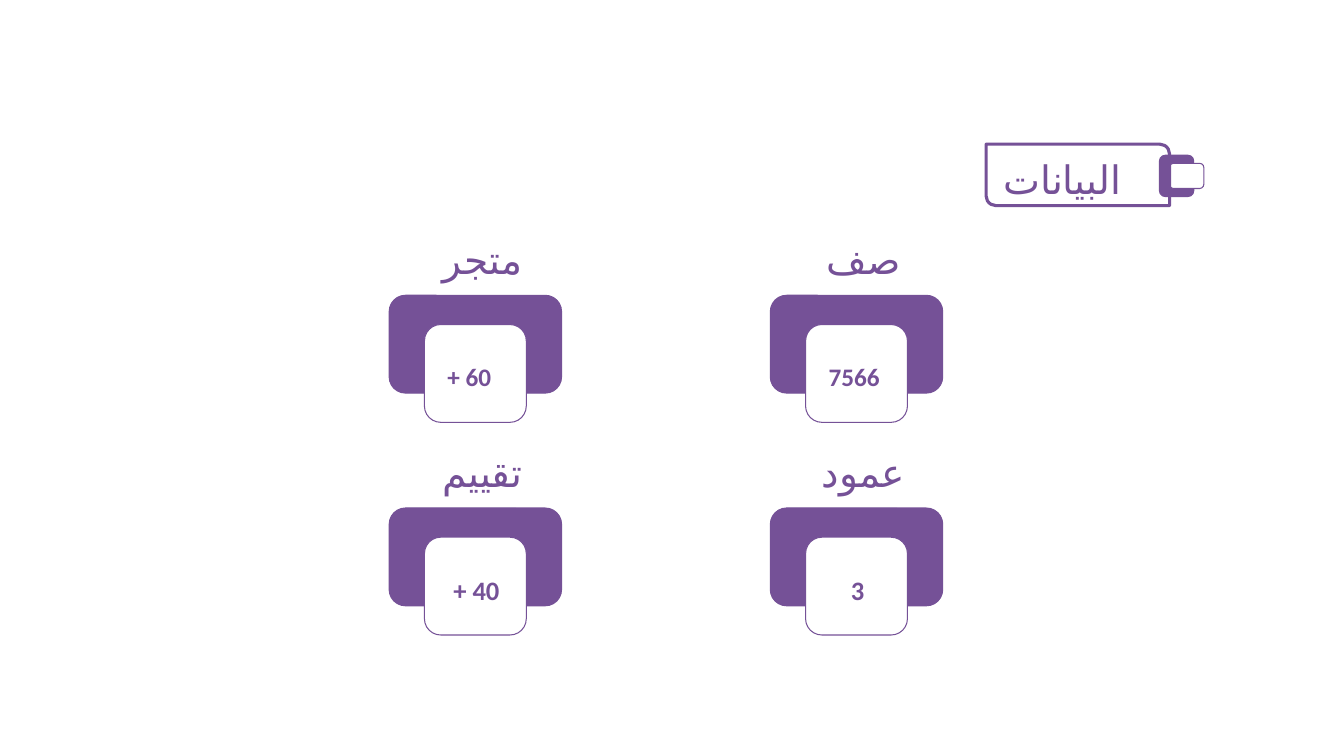
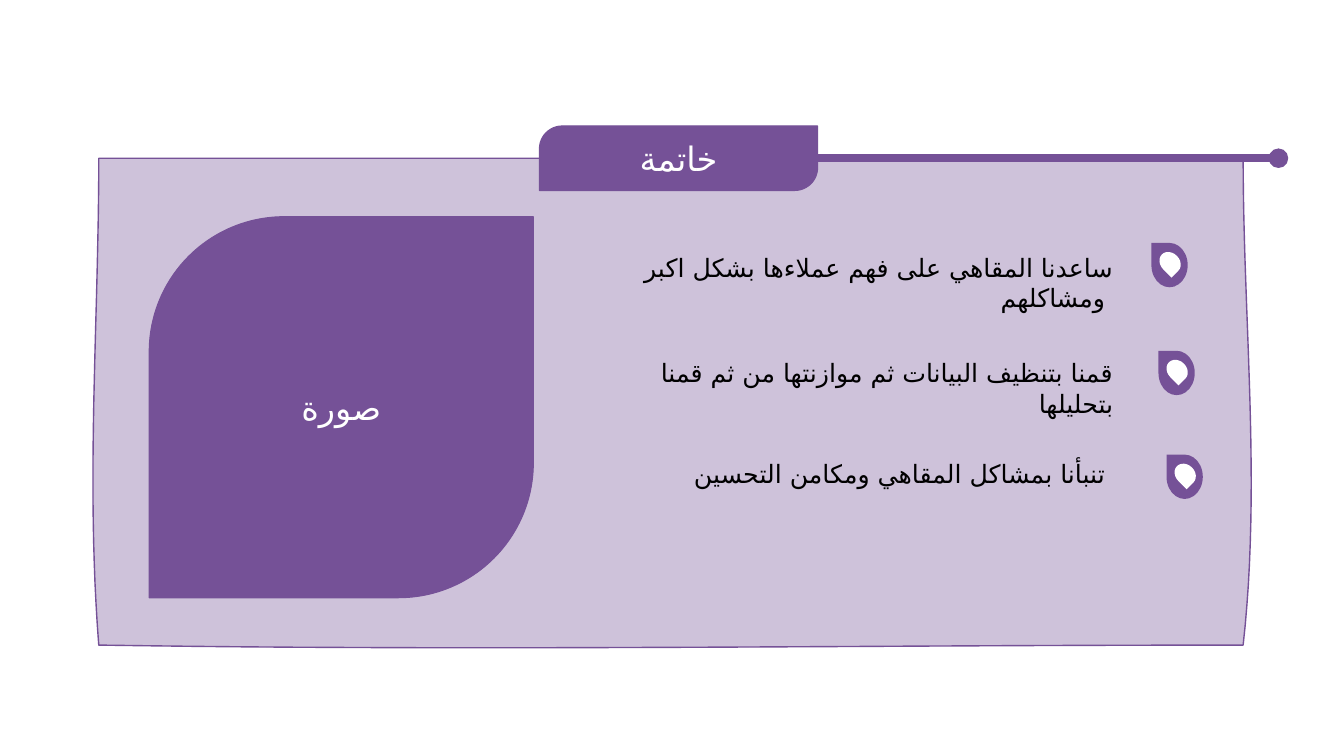
from lxml.etree import SubElement
from pptx import Presentation
from pptx.dml.color import RGBColor
from pptx.enum.shapes import MSO_CONNECTOR as CONN, MSO_SHAPE as SHAPE
from pptx.enum.text import MSO_ANCHOR as ANCHOR, MSO_AUTO_SIZE as AUTO, PP_ALIGN as ALIGN
from pptx.oxml.ns import qn
from pptx.util import Inches, Pt

COLORS = {"purple": "755197", "white": "FFFFFF", "black": "000000"}
FONT, NUMBER_FONT, ARABIC_FONT = "Roboto", "Calibri", "DejaVu Sans"
TITLE_ONLY = 5


def rgb(name):
    """Return the palette colour called name."""
    return RGBColor.from_string(COLORS[name])


def write(tf, text, size=18, color="purple", font=FONT, bold=False,
          align=ALIGN.LEFT, anchor=ANCHOR.TOP, inset=0.05):
    """Fill a text frame with one formatted paragraph."""
    tf.word_wrap = True
    tf.auto_size = AUTO.NONE
    tf.vertical_anchor = anchor
    tf.margin_left = tf.margin_right = Inches(0.1)
    tf.margin_top = tf.margin_bottom = Inches(inset)
    p = tf.paragraphs[0]
    p.alignment = align
    r = p.add_run()
    r.text = text
    r.font.size = Pt(size)
    r.font.name = font
    r.font.bold = bold
    r.font.color.rgb = rgb(color)
    SubElement(r.font._element, qn("a:cs"), typeface=ARABIC_FONT)


def add_text(s, x, y, w, h, text, **fmt):
    """Add a text box."""
    box = s.shapes.add_textbox(Inches(x), Inches(y), Inches(w), Inches(h))
    write(box.text_frame, text, **fmt)


def paint(sp, fill=None, line=None, width=0.75):
    """Set fill and outline, and drop the shadow."""
    sp.shadow.inherit = False
    if fill:
        sp.fill.solid()
        sp.fill.fore_color.rgb = rgb(fill)
    else:
        sp.fill.background()
    if line:
        sp.line.color.rgb = rgb(line)
        sp.line.width = Pt(width)
    else:
        sp.line.fill.background()


def add_shape(s, kind, x, y, w, h, fill=None, line="purple", width=0.75, adj=(), rot=0):
    """Add a painted preset shape."""
    sp = s.shapes.add_shape(kind, Inches(x), Inches(y), Inches(w), Inches(h))
    paint(sp, fill, line, width)
    for i, value in enumerate(adj):
        sp.adjustments[i] = value
    sp.rotation = rot
    return sp


def set_title(s, x, y, w, h, text, **fmt):
    """Place the title placeholder above the shapes drawn so far."""
    title = s.shapes.title
    title.left, title.top, title.width, title.height = map(Inches, (x, y, w, h))
    write(title.text_frame, text, **fmt)
    s.shapes._spTree.append(title._element)
    return title


def add_stat(s, x, y, label, number, **fmt):
    """Add a label over a purple card with a white number tile."""
    add_shape(s, SHAPE.ROUNDED_RECTANGLE, x, y, 1.71, 0.97, "purple")
    add_shape(s, SHAPE.ROUNDED_RECTANGLE, x + 0.35, y + 0.29, 1.01, 0.97, "white")
    add_text(s, x + 0.48, y + 0.55, 0.77, 0.44, number,
             font=NUMBER_FONT, bold=True, inset=0.1, **fmt)
    add_text(s, x + 0.14, y - 0.64, 1.57, 0.57, label, size=28, align=ALIGN.CENTER)


def add_leaf(s, x, y, w, h, text=None):
    """Add a purple block with two rounded corners and optional text."""
    sp = add_shape(s, SHAPE.ROUND_2_DIAG_RECTANGLE, x, y, w, h, "purple", adj=(0.354, 0))
    if text:
        write(sp.text_frame, text, size=24, color="white",
              align=ALIGN.CENTER, anchor=ANCHOR.MIDDLE)


def add_marker(s, x, y):
    """Add a teardrop bullet with a white drop inside."""
    add_shape(s, SHAPE.TEAR, x - 0.04, y + 0.04, 0.44, 0.36, "purple", line=None, rot=270)
    add_shape(s, SHAPE.TEAR, x + 0.09, y + 0.08, 0.19, 0.23, "white", line=None, rot=135)


def curve(p0, p1, p2, p3, steps=24):
    """Return points along a cubic curve, without its start."""
    points = []
    for i in range(1, steps + 1):
        t = i / steps
        u = 1 - t
        points.append(tuple(
            Inches(u**3 * a + 3 * u * u * t * b + 3 * u * t * t * c + t**3 * d)
            for a, b, c, d in zip(p0, p1, p2, p3)))
    return points


def add_panel(s):
    """Add the translucent panel with bowed sides."""
    right, left, top, bottom = 12.33, 0.98, 1.57, 6.4
    builder = s.shapes.build_freeform(Inches(right), Inches(top))
    builder.add_line_segments(
        [(Inches(left), Inches(top))]
        + curve((left, top), (left, 3.18), (0.85, 4.74), (left, bottom))
        + curve((left, bottom), (4.8, 6.46), (8.55, bottom), (right, bottom))
        + curve((right, bottom), (12.51, 4.79), (right, 3.18), (right, top)))
    sp = builder.convert_to_shape()
    paint(sp, "purple", "purple", 1)
    fill = sp._element.spPr.find(qn("a:solidFill"))
    SubElement(fill[0], qn("a:alpha"), val="35000")


def add_rule(s, start, x, y):
    """Draw a thick line from the right side of a box to a point."""
    line = s.shapes.add_connector(CONN.STRAIGHT, Inches(x), Inches(y), Inches(x), Inches(y))
    line.begin_connect(start, 3)
    line.line.color.rgb = rgb("purple")
    line.line.width = Pt(6)
    SubElement(line._element.spPr, qn("a:effectLst"))


def build_data(s):
    """Build the slide with the four figures."""
    add_shape(s, SHAPE.ROUNDED_RECTANGLE, 11.5, 1.54, 0.34, 0.41, "purple")
    add_shape(s, SHAPE.ROUNDED_RECTANGLE, 11.6, 1.62, 0.34, 0.25, "white")
    add_shape(s, SHAPE.ROUND_2_DIAG_RECTANGLE, 9.78, 1.43, 1.82, 0.61,
              width=2.25, adj=(0.011, 0.159))
    set_title(s, 9.85, 1.49, 1.57, 0.57, "البيانات", size=28)
    rows = [
        ([("صف", "7566"), ("متجر", "+ 60")], {"size": 18}),
        ([("عمود", "3"), ("تقييم", "+ 40")], {"size": 19, "align": ALIGN.CENTER}),
    ]
    for i, (stats, fmt) in enumerate(rows):
        for j, (label, number) in enumerate(stats):
            add_stat(s, 7.64 - 3.78 * j, 2.93 + 2.11 * i, label, number, **fmt)


def build_conclusion(s):
    """Build the closing slide."""
    add_panel(s)
    tab = (5.35, 1.25, 2.76, 0.64)
    add_leaf(s, *tab)
    title = set_title(s, *tab, "خاتمة", size=24, color="white",
                      align=ALIGN.CENTER, anchor=ANCHOR.MIDDLE)
    add_rule(s, title, 12.63, 1.57)
    add_shape(s, SHAPE.OVAL, 12.59, 1.48, 0.18, 0.18, "purple", width=1)
    points = [
        (11.42, 2.41, 5.64, 2.45, 0.71, "ساعدنا المقاهي على فهم عملاءها بشكل اكبر ومشاكلهم "),
        (11.49, 3.48, 6.01, 3.5, 0.71, "قمنا بتنظيف البيانات ثم موازنتها من ثم قمنا بتحليلها"),
        (11.57, 4.51, 6.5, 4.5, 0.4, "تنبأنا بمشاكل المقاهي ومكامن التحسين "),
    ]
    for marker_x, marker_y, x, y, h, text in points:
        add_marker(s, marker_x, marker_y)
        add_text(s, x, y, 11.14 - x, h, text, color="black", align=ALIGN.RIGHT)
    add_leaf(s, 1.48, 2.15, 3.81, 3.78, "صورة")


def main():
    """Build and save the presentation."""
    prs = Presentation()
    prs.slide_width, prs.slide_height = Inches(13.33), Inches(7.5)
    for build in (build_data, build_conclusion):
        build(prs.slides.add_slide(prs.slide_layouts[TITLE_ONLY]))
    prs.save("out.pptx")


if __name__ == "__main__":
    main()
